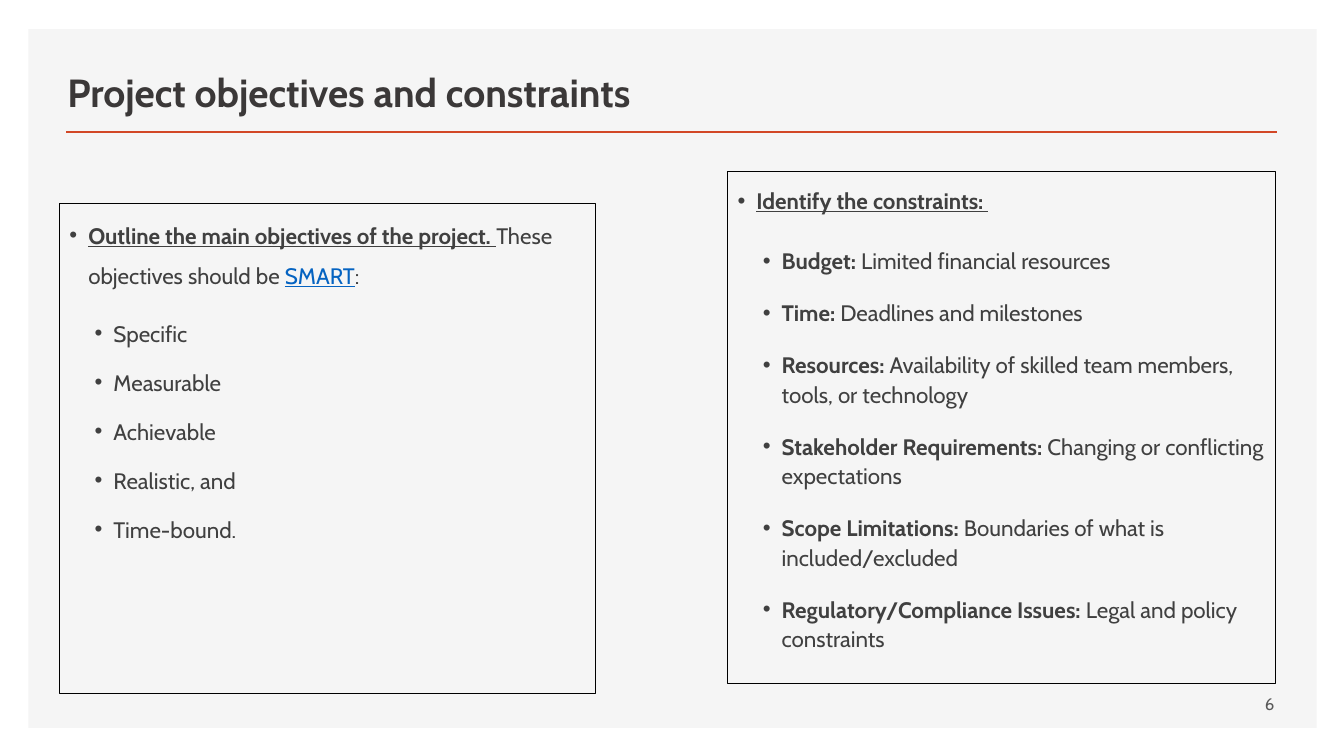
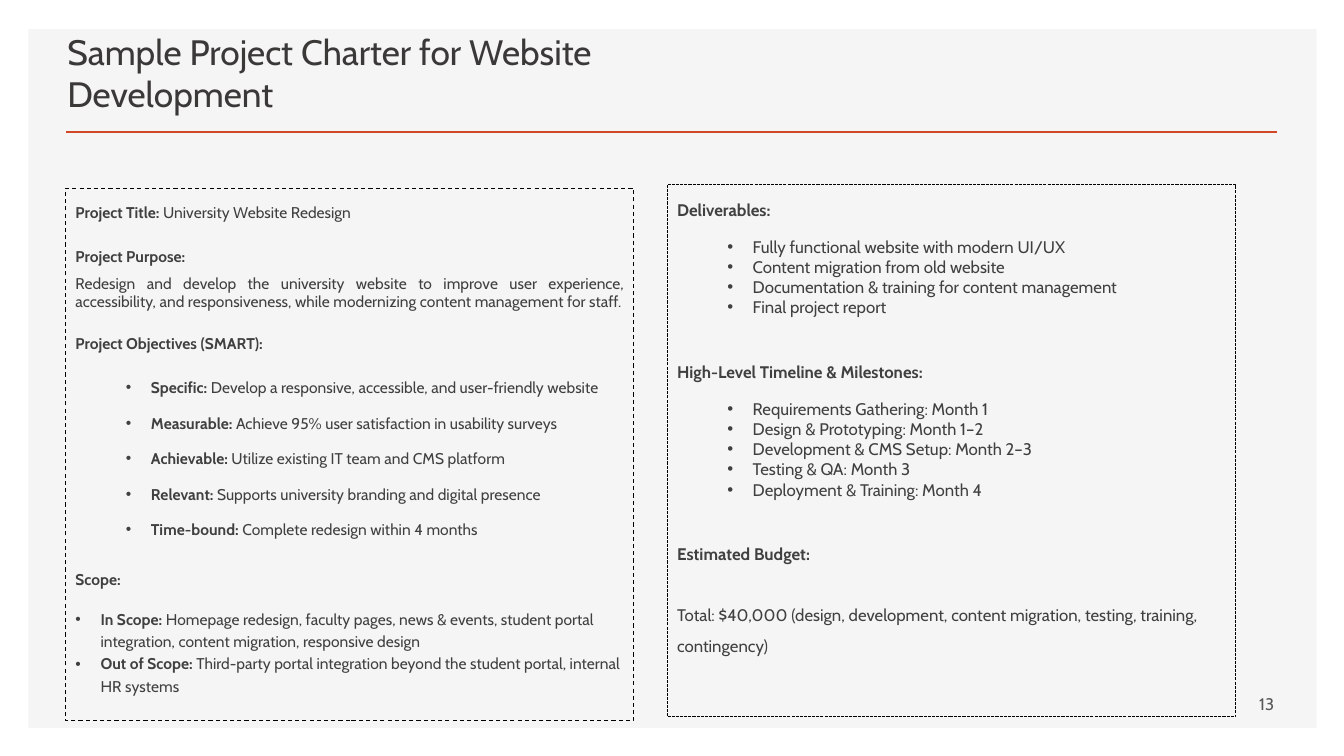
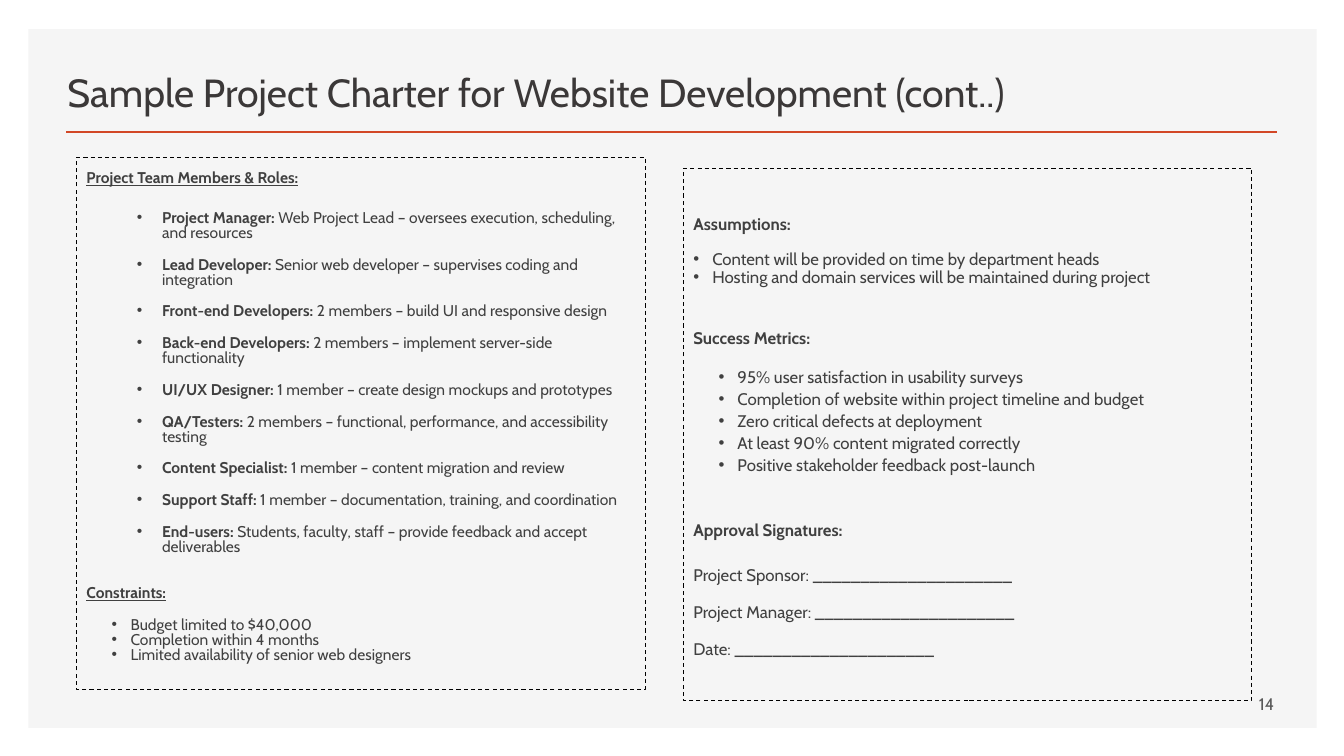
from lxml import etree
from pptx import Presentation
from pptx.dml.color import RGBColor
from pptx.enum.dml import MSO_LINE
from pptx.enum.shapes import MSO_CONNECTOR, MSO_SHAPE
from pptx.enum.text import MSO_ANCHOR, PP_ALIGN
from pptx.oxml.ns import qn
from pptx.util import Pt

# Style
FONT = "Cabin"
PANEL = RGBColor(0xF5, 0xF5, 0xF5)
ACCENT = RGBColor(0xD2, 0x47, 0x26)
HEAD = RGBColor(0x3B, 0x38, 0x38)
BODY = RGBColor(0x40, 0x40, 0x40)
LINK = RGBColor(0x05, 0x63, 0xC1)
MUTED = RGBColor(0x59, 0x59, 0x59)
BLACK = RGBColor(0, 0, 0)
SOLID, DASH, DOT = MSO_LINE.SOLID, MSO_LINE.DASH, MSO_LINE.SQUARE_DOT
TOP, MIDDLE, BOTTOM = MSO_ANCHOR.TOP, MSO_ANCHOR.MIDDLE, MSO_ANCHOR.BOTTOM
RIGHT, JUSTIFY = PP_ALIGN.RIGHT, PP_ALIGN.JUSTIFY
RECT, STRAIGHT = MSO_SHAPE.RECTANGLE, MSO_CONNECTOR.STRAIGHT

# Indents: level, left edge and hang of the bullet
NEAR = (0, 13.5, 13.5)
SUB = (1, 31.5, 13.5)
WIDE = (0, 18, 18)
DEEP = (2, 54, 18)

# Size of the charter boxes
CHART_W, CHART_H = 406.1, 380.2


def write(para, text, size=12, color=BODY, bold=False, under=False):
    """Add one run of text to a paragraph."""
    run = para.add_run()
    run.text = text
    font = run.font
    font.name, font.size, font.bold = FONT, Pt(size), bold
    font.underline = under
    font.color.rgb = color


class Deck:
    def __init__(self):
        self.file = Presentation()
        self.file.slide_width, self.file.slide_height = Pt(960), Pt(540)
        self.slide = self.frame = None
        self.size = 12

    def page(self, title, number, width=541.4, size=28, bold=False):
        """Start a slide with its panel, rule, title and number."""
        self.slide = self.file.slides.add_slide(self.file.slide_layouts[6])
        shapes = self.slide.shapes
        panel = shapes.add_shape(RECT, Pt(20.2), Pt(20.9), Pt(920.2), Pt(499))
        panel.shadow.inherit = False
        panel.fill.solid()
        panel.fill.fore_color.rgb = PANEL
        panel.line.fill.background()
        rule = shapes.add_connector(
            STRAIGHT, Pt(47.5), Pt(94.3), Pt(912.2), Pt(94.3))
        rule.line.color.rgb, rule.line.width = ACCENT, Pt(2)
        etree.SubElement(rule._element.spPr, qn("a:effectLst"))
        self.area(41, 35.3, width, 50.4, anchor=BOTTOM)
        write(self.next(), title, size=size, color=HEAD, bold=bold)
        self.area(659.5, 488.2, 257.8, 28.8, anchor=MIDDLE)
        para = self.next()
        para.alignment = RIGHT
        write(para, str(number), color=MUTED)

    def area(self, left, top, width, height, anchor=TOP):
        """Add a wrapping text box and make it current."""
        shape = self.slide.shapes.add_textbox(
            Pt(left), Pt(top), Pt(width), Pt(height))
        self.frame = shape.text_frame
        self.frame.word_wrap = True
        self.frame.vertical_anchor = anchor
        return shape

    def box(self, left, top, width=CHART_W, height=CHART_H,
            dash=DASH, weight=0.75, size=12, inset=3.6):
        """Add an outlined text box."""
        line = self.area(left, top, width, height).line
        line.color.rgb, line.width, line.dash_style = BLACK, Pt(weight), dash
        self.frame.margin_top = Pt(inset)
        self.size = size

    def next(self):
        """Give the empty first paragraph, or a new one."""
        first = self.frame.paragraphs[0]
        return self.frame.add_paragraph() if first.runs else first

    def para(self, lead="", rest="", indent=None, space=1.0, before=0,
             after=0, under=False, align=None):
        """Add a paragraph with a bold lead and a plain rest."""
        para = self.next()
        if indent:
            para.level, left, hang = indent
            props = para._p.get_or_add_pPr()
            props.set("marL", str(Pt(left)))
            props.set("indent", str(-Pt(hang)))
            etree.SubElement(props, qn("a:buFont"), typeface="Arial")
            etree.SubElement(props, qn("a:buChar"), char="•")
        is_first = len(self.frame.paragraphs) == 1
        para.space_before = Pt(0 if is_first else before)
        para.space_after = Pt(after)
        para.line_spacing = space
        if align is not None:
            para.alignment = align
        if lead:
            write(para, lead, size=self.size, bold=True, under=under)
        if rest:
            write(para, rest, size=self.size)
        return para

    def head(self, lead, rest="", space=1.5, before=10, **form):
        return self.para(lead, rest, space=space, before=before, after=12,
                         **form)

    def items(self, rows, indent, **form):
        """Add bullets; a row is plain text or a lead and a rest."""
        for row in rows:
            lead, rest = ("", row) if isinstance(row, str) else row
            self.para(lead, rest, indent=indent, **form)


def goals(deck):
    deck.page("Project objectives and constraints", 6, bold=True)

    # Objectives
    deck.box(42.5, 145.4, 383, 350, dash=SOLID, weight=0.5, size=16)
    para = deck.head("Outline the main objectives of the project. ",
                     "These objectives should be ", indent=NEAR, under=True)
    write(para, "SMART", size=16, color=LINK, under=True)
    write(para, ":", size=16)
    deck.items(["Specific", "Measurable", "Achievable", "Realistic, and",
                "Time-bound."], SUB, space=1.2, before=6, after=6)

    # Constraints
    deck.box(519.8, 122.4, 391, 365.8, dash=SOLID, size=16)
    deck.head("Identify the constraints: ", space=1.4, indent=NEAR, under=True)
    deck.items([
        ("Budget:", " Limited financial resources"),
        ("Time:", " Deadlines and milestones"),
        ("Resources:",
         " Availability of skilled team members, tools, or technology"),
        ("Stakeholder Requirements:", " Changing or conflicting expectations"),
        ("Scope Limitations:", " Boundaries of what is included/excluded"),
        ("Regulatory/Compliance Issues:", " Legal and policy constraints"),
    ], SUB, space=1.1, before=10, after=6)


def charter(deck):
    deck.page("Sample Project Charter for Website Development", 13, size=25.2)

    # Deliverables, timeline and budget
    deck.box(476.6, 131.8, dash=DOT)
    deck.head("Deliverables:")
    deck.items(["Fully functional website with modern UI/UX",
                "Content migration from old website",
                "Documentation & training for content management",
                "Final project report"], DEEP)
    deck.head("High-Level Timeline & Milestones:", before=24.6)
    deck.items(["Requirements Gathering: Month 1",
                "Design & Prototyping: Month 1–2",
                "Development & CMS Setup: Month 2–3",
                "Testing & QA: Month 3",
                "Deployment & Training: Month 4"], DEEP)
    deck.head("Estimated Budget:", before=24.6)
    deck.head("", "Total: $40,000 (design, development, content migration, "
                  "testing, training, contingency)")

    # Purpose, objectives and scope
    deck.box(46.8, 134.6, size=11.1)
    deck.head("Project Title:", " University Website Redesign")
    deck.para("Project Purpose:", before=6)
    deck.para("", "Redesign and develop the university website to improve "
                  "user experience, accessibility, and responsiveness, while "
                  "modernizing content management for staff.",
              before=6, align=JUSTIFY)
    deck.head("Project Objectives (SMART):")
    deck.items([
        ("Specific:",
         " Develop a responsive, accessible, and user-friendly website"),
        ("Measurable:", " Achieve 95% user satisfaction in usability surveys"),
        ("Achievable:", " Utilize existing IT team and CMS platform"),
        ("Relevant:", " Supports university branding and digital presence"),
        ("Time-bound:", " Complete redesign within 4 months"),
    ], DEEP, before=6, after=6)
    deck.head("Scope:")
    deck.items([
        ("In Scope:", " Homepage redesign, faculty pages, news & events, "
                      "student portal integration, content migration, "
                      "responsive design"),
        ("Out of Scope:", " Third-party portal integration beyond the "
                          "student portal, internal HR systems"),
    ], WIDE, space=1.2)


def team(deck):
    deck.page("Sample Project Charter for Website Development (cont..)", 14,
              width=745.9)

    # Assumptions, metrics and signatures
    deck.box(488.2, 120.2, inset=26.7)
    deck.head("Assumptions:", space=1.4)
    deck.items(["Content will be provided on time by department heads",
                "Hosting and domain services will be maintained during "
                "project"], NEAR, space=0.9)
    deck.head("Success Metrics:", space=1.4, before=23.1)
    deck.items(["95% user satisfaction in usability surveys",
                "Completion of website within project timeline and budget",
                "Zero critical defects at deployment",
                "At least 90% content migrated correctly",
                "Positive stakeholder feedback post-launch"], SUB, space=1.1)
    deck.head("Approval Signatures:", space=1.4, before=26)
    for role in ("Project Sponsor", "Project Manager", "Date"):
        deck.para("", f"{role}: {'_' * 21}", before=6, after=6)

    # Roles and constraints
    deck.box(54.7, 112.3, size=11.1)
    deck.head("Project Team Members & Roles:", space=1.3, under=True)
    deck.items([
        ("Project Manager:", " Web Project Lead – oversees execution, "
                             "scheduling, and resources"),
        ("Lead Developer:",
         " Senior web developer – supervises coding and integration"),
        ("Front-end Developers:",
         " 2 members – build UI and responsive design"),
        ("Back-end Developers:",
         " 2 members – implement server-side functionality"),
        ("UI/UX Designer:",
         " 1 member – create design mockups and prototypes"),
        ("QA/Testers:", " 2 members – functional, performance, and "
                        "accessibility testing"),
        ("Content Specialist:", " 1 member – content migration and review"),
        ("Support Staff:",
         " 1 member – documentation, training, and coordination"),
        ("End-users:", " Students, faculty, staff – provide feedback and "
                       "accept deliverables"),
    ], DEEP, space=0.8, before=6, after=6)
    deck.head("Constraints:", space=1.3, under=True)
    deck.items(["Budget limited to $40,000", "Completion within 4 months",
                "Limited availability of senior web designers"],
               SUB, space=0.8)


def main():
    deck = Deck()
    for build in (goals, charter, team):
        build(deck)
    deck.file.save("out.pptx")


if __name__ == "__main__":
    main()
